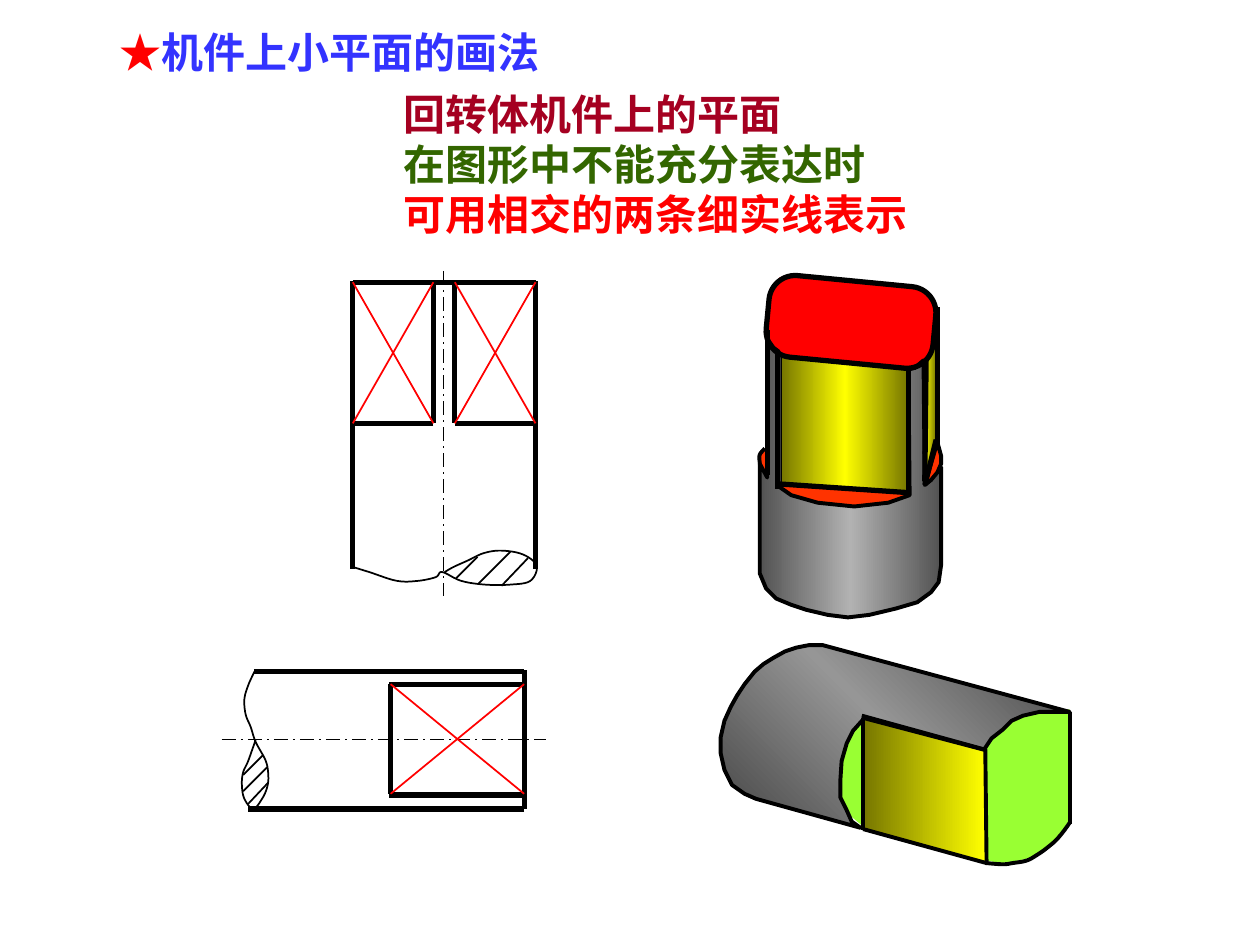
"""Slide on drawing small flat faces on turned machine parts."""
from lxml.etree import SubElement
from pptx import Presentation
from pptx.dml.color import RGBColor
from pptx.enum.dml import MSO_LINE
from pptx.enum.shapes import MSO_CONNECTOR, MSO_SHAPE
from pptx.enum.text import MSO_ANCHOR, MSO_AUTO_SIZE, PP_ALIGN
from pptx.oxml.ns import qn
from pptx.util import Inches, Pt

STRAIGHT = MSO_CONNECTOR.STRAIGHT
ROUNDED = MSO_SHAPE.ROUNDED_RECTANGLE
CENTRE_DASH = MSO_LINE.LONG_DASH_DOT
TOP, MIDDLE = MSO_ANCHOR.TOP, MSO_ANCHOR.MIDDLE
LEFT = PP_ALIGN.LEFT
FIT_SHAPE = MSO_AUTO_SIZE.SHAPE_TO_FIT_TEXT

BLACK, RED, BLUE, MAROON, GREEN = "000000", "FF0000", "3333FF", "A50021", "336600"
ORANGE, LIME = "FF3300", "99FF33"
OLIVE, YELLOW = "767600", "FFFF00"
THIN, OUTLINE, THICK = 1, 2.25, 3


def rgb(value):
    return RGBColor.from_string(value)


def spline(knots, steps=6):
    padded = [knots[0], *knots, knots[-1]]
    points = [knots[0]]
    for a, b, c, d in zip(padded, padded[1:], padded[2:], padded[3:]):
        for step in range(1, steps + 1):
            t = step / steps
            points.append(tuple(
                q + t * (r - p) / 2 + t**2 * (2 * p - 5 * q + 4 * r - s) / 2
                + t**3 * (3 * q - p - 3 * r + s) / 2
                for p, q, r, s in zip(a, b, c, d)))
    return points


class Drawing:
    font, size = "Times New Roman", 24

    def __init__(self, slide):
        self.slide = slide
        self.shapes = slide.shapes

    def start_group(self):
        self.shapes = self.slide.shapes.add_group_shape().shapes

    def text(self, index, box, anchor, paragraphs):
        holder = self.slide.placeholders[index]
        holder.left, holder.top, holder.width, holder.height = map(Inches, box)
        frame = holder.text_frame
        frame.word_wrap, frame.auto_size, frame.vertical_anchor = True, FIT_SHAPE, anchor
        for number, runs in enumerate(paragraphs):
            paragraph = frame.add_paragraph() if number else frame.paragraphs[0]
            properties = paragraph._p.get_or_add_pPr()
            properties.set("marL", "0")
            properties.set("indent", "0")
            SubElement(properties, qn("a:buNone"))
            paragraph.alignment, paragraph.space_before = LEFT, Pt(0)
            font = paragraph.font
            font.name, font.size, font.bold = self.font, Pt(self.size), True
            for words, color in runs:
                run = paragraph.add_run()
                run.text = words
                run.font.color.rgb = rgb(color)

    def line(self, x1, y1, x2, y2, width=THICK, color=BLACK, dash=None):
        connector = self.shapes.add_connector(STRAIGHT, *map(Inches, (x1, y1, x2, y2)))
        connector.line.width = Pt(width)
        connector.line.color.rgb = rgb(color)
        if dash:
            connector.line.dash_style = dash
        SubElement(connector.element.spPr, qn("a:effectLst"))

    def cross(self, left, top, right, bottom):
        self.line(left, top, right, bottom, THIN, RED)
        self.line(right, top, left, bottom, THIN, RED)

    def outline(self, shape, width):
        shape.shadow.inherit = False
        if width:
            shape.line.color.rgb = rgb(BLACK)
            shape.line.width = Pt(width)
        else:
            shape.line.fill.background()

    def face(self, points, colors=(), width=0, angle=0, closed=True):
        (x, y), *rest = [(Inches(a), Inches(b)) for a, b in points]
        builder = self.shapes.build_freeform(x, y)
        builder.add_line_segments(rest, close=closed)
        shape = builder.convert_to_shape()
        self.outline(shape, width)
        if not colors:
            shape.fill.background()
        elif len(colors) == 1:
            shape.fill.solid()
            shape.fill.fore_color.rgb = rgb(colors[0])
        else:
            shape.fill.gradient()
            gradient = shape.element.spPr.find(qn("a:gradFill"))
            gradient.find(qn("a:lin")).set("ang", str(angle * 60000))
            stops = gradient.find(qn("a:gsLst"))
            stops.clear()
            for number, color in enumerate(colors):
                position = 100000 * number // (len(colors) - 1)
                stop = SubElement(stops, qn("a:gs"), pos=str(position))
                SubElement(stop, qn("a:srgbClr"), val=color)

    def curve(self, knots, width=THIN):
        self.face(spline(knots), width=width, closed=False)

    def rounded(self, box, turn, radius):
        shape = self.shapes.add_shape(ROUNDED, *map(Inches, box))
        shape.rotation, shape.adjustments[0] = turn, radius
        shape.fill.background()
        self.outline(shape, THICK)


def draw_upright_solid(d):
    d.start_group()
    d.face([(6.3, 2.18), (6.67, 2.22), (7.01, 2.26), (7.18, 2.27), (7.33, 2.31),
            (7.42, 2.38), (7.43, 2.54), (7.42, 2.7), (7.4, 2.78), (7.3, 2.88),
            (7.18, 2.93), (6.17, 2.82), (6.16, 2.76), (6.07, 2.68), (6.11, 2.29),
            (6.19, 2.2)], [RED])
    d.face([(7.43, 2.69), (7.43, 3.53), (7.35, 3.77), (7.34, 2.87), (7.39, 2.78)],
           [YELLOW, OLIVE], 0.75)
    d.face([(6.2, 2.82), (6.2, 3.85), (7.21, 3.92), (7.21, 2.93)],
           [OLIVE, YELLOW, OLIVE], 0.75)
    d.face([(6.07, 3.56), (6.03, 3.62), (6.03, 3.68), (6.05, 3.75), (6.1, 3.78)], [ORANGE])
    d.face([(6.17, 3.85), (6.24, 3.92), (6.34, 3.96), (6.43, 3.99), (6.58, 4.01),
            (6.71, 4.02), (6.96, 4.02), (7.04, 4), (7.14, 3.95), (7.21, 3.92),
            (7.08, 3.9), (6.96, 3.9), (6.83, 3.88), (6.65, 3.88), (6.3, 3.86)], [ORANGE])
    d.face([(6.03, 3.68), (6.03, 4.55), (6.08, 4.67), (6.16, 4.75), (6.28, 4.8),
            (6.4, 4.84), (6.57, 4.88), (6.73, 4.9), (6.9, 4.88), (7.11, 4.83),
            (7.28, 4.78), (7.39, 4.7), (7.45, 4.62), (7.47, 4.48), (7.47, 3.71),
            (7.34, 3.84), (7.33, 2.86), (7.26, 2.92), (7.21, 2.93), (7.22, 3.93),
            (7.05, 3.99), (6.78, 4.02), (6.49, 3.99), (6.28, 3.93), (6.18, 3.86),
            (6.18, 2.79), (6.14, 2.76), (6.09, 2.69), (6.09, 3.79)],
           ["525252", "B2B2B2", "525252"], OUTLINE)
    d.rounded((6.09, 2.23, 1.33, 0.65), 5.5, 0.32)
    d.face([(7.44, 3.51), (7.47, 3.62), (7.47, 3.68), (7.44, 3.75), (7.39, 3.81),
            (7.34, 3.85)], [ORANGE], OUTLINE)
    d.curve([(6.04, 3.73), (6.03, 3.67), (6.03, 3.61), (6.07, 3.56)], OUTLINE)
    for edge in ((6.09, 2.62, 6.09, 3.77), (7.44, 2.44, 7.44, 3.53), (7.21, 2.93, 7.21, 3.94),
                 (6.17, 2.81, 6.17, 3.88), (6.17, 3.84, 7.21, 3.91), (7.34, 3.85, 7.43, 3.49),
                 (7.35, 2.86, 7.34, 3.82)):
        d.line(*edge)


def draw_lying_solid(d):
    d.start_group()
    d.face([(8.49, 5.63), (8.5, 6.53), (8.44, 6.59), (8.35, 6.69), (8.27, 6.77),
            (8.17, 6.81), (8.08, 6.83), (7.95, 6.85), (7.83, 6.83), (7.83, 5.93),
            (7.91, 5.82), (7.97, 5.76), (8.03, 5.71), (8.13, 5.67), (8.25, 5.65),
            (8.34, 5.63)], [LIME])
    d.face([(6.83, 5.7), (6.78, 5.79), (6.7, 5.91), (6.65, 6.03), (6.63, 6.14),
            (6.65, 6.23), (6.66, 6.35), (6.72, 6.45), (6.85, 6.56)], [LIME])
    d.face([(6.85, 5.7), (6.85, 6.57), (7.82, 6.83), (7.82, 5.94)], [OLIVE, YELLOW])
    d.face([(8.49, 5.65), (8.25, 5.65), (8.12, 5.68), (8.03, 5.72), (7.96, 5.79),
            (7.87, 5.86), (7.81, 5.95), (6.86, 5.7), (6.77, 5.8), (6.72, 5.9),
            (6.68, 6.04), (6.67, 6.19), (6.67, 6.33), (6.72, 6.43), (6.76, 6.52),
            (6.83, 6.57), (6, 6.34), (5.91, 6.3), (5.81, 6.23), (5.75, 6.11),
            (5.72, 5.98), (5.72, 5.85), (5.75, 5.72), (5.8, 5.61), (5.85, 5.52),
            (5.91, 5.43), (5.99, 5.33), (6.06, 5.27), (6.14, 5.22), (6.23, 5.17),
            (6.32, 5.14), (6.42, 5.12), (6.53, 5.12)],
           ["454545", "969696", "454545"], OUTLINE, 315)
    d.curve([(8.49, 6.53), (8.44, 6.6), (8.38, 6.67), (8.31, 6.73), (8.24, 6.78),
             (8.15, 6.83), (8.04, 6.85), (7.96, 6.86), (7.82, 6.85)], OUTLINE)
    for edge in ((7.82, 5.94, 7.83, 6.84), (8.49, 6.54, 8.49, 5.65), (7.82, 5.95, 6.84, 5.68),
                 (6.85, 5.7, 6.85, 6.59), (6.85, 6.58, 7.83, 6.85)):
        d.line(*edge, OUTLINE)


def draw_front_view(d):
    top, step = 2.24, 3.36
    d.start_group()
    d.line(3.52, 2.15, 3.52, 4.73, THIN, dash=CENTRE_DASH)
    d.line(2.8, top, 4.25, top)
    for side, inner in ((2.8, 3.44), (4.25, 3.61)):
        d.line(side, 2.23, side, 4.52)
        d.line(inner, top, inner, step)
        d.line(inner, step, side, step)
        d.cross(side, top, inner, step)
    d.curve([(2.8, 4.5), (2.93, 4.54), (3.15, 4.61), (3.32, 4.61), (3.46, 4.58),
             (3.51, 4.54), (3.66, 4.61), (3.85, 4.64), (4.05, 4.64), (4.21, 4.61),
             (4.26, 4.49), (4.15, 4.4), (3.98, 4.37), (3.84, 4.39), (3.71, 4.45),
             (3.6, 4.5), (3.53, 4.54)])
    for hatch in ((3.62, 4.59, 3.79, 4.42), (3.8, 4.63, 4.05, 4.38), (3.98, 4.65, 4.19, 4.43)):
        d.line(*hatch, THIN)


def draw_side_view(d):
    end, flat = 4.16, 3.1
    d.start_group()
    d.line(1.76, 5.87, 4.33, 5.87, THIN, dash=CENTRE_DASH)
    d.line(end, 5.32, end, 6.42)
    d.line(flat, 5.43, flat, 6.3)
    for start, y in ((2.02, 5.33), (1.97, 6.42), (3.09, 5.43), (3.09, 6.31)):
        d.line(end, y, start, y)
    d.cross(flat, 5.43, end, 6.3)
    d.curve([(2.02, 5.33), (1.97, 5.44), (1.94, 5.55), (1.95, 5.67), (1.99, 5.77),
             (2.03, 5.89), (2.11, 6.04), (2.13, 6.16), (2.12, 6.25), (2.08, 6.34),
             (2.01, 6.42), (1.94, 6.34), (1.92, 6.23), (1.93, 6.13), (1.97, 6.04),
             (2.03, 5.87)])
    for hatch in ((1.93, 6.15, 2.09, 5.99), (1.93, 6.28, 2.12, 6.09), (1.97, 6.38, 2.13, 6.21)):
        d.line(*hatch, THIN)


def main():
    deck = Presentation()
    deck.slide_width, deck.slide_height = Inches(10), Inches(7.5)
    drawing = Drawing(deck.slides.add_slide(deck.slide_layouts[1]))
    drawing.text(0, (0.85, 0.16, 5.28, 0.5), TOP, [[("★", RED), ("机件上小平面的画法", BLUE)]])
    drawing.text(1, (3.1, 0.65, 5.03, 1.3), MIDDLE, [
        [("回转体机件上的平面", MAROON)],
        [("在图形中不能充分表达时", GREEN)],
        [("可用相交的两条细实线表示", RED)]])
    for draw in (draw_upright_solid, draw_lying_solid, draw_front_view, draw_side_view):
        draw(drawing)
    deck.save("out.pptx")


if __name__ == "__main__":
    main()
